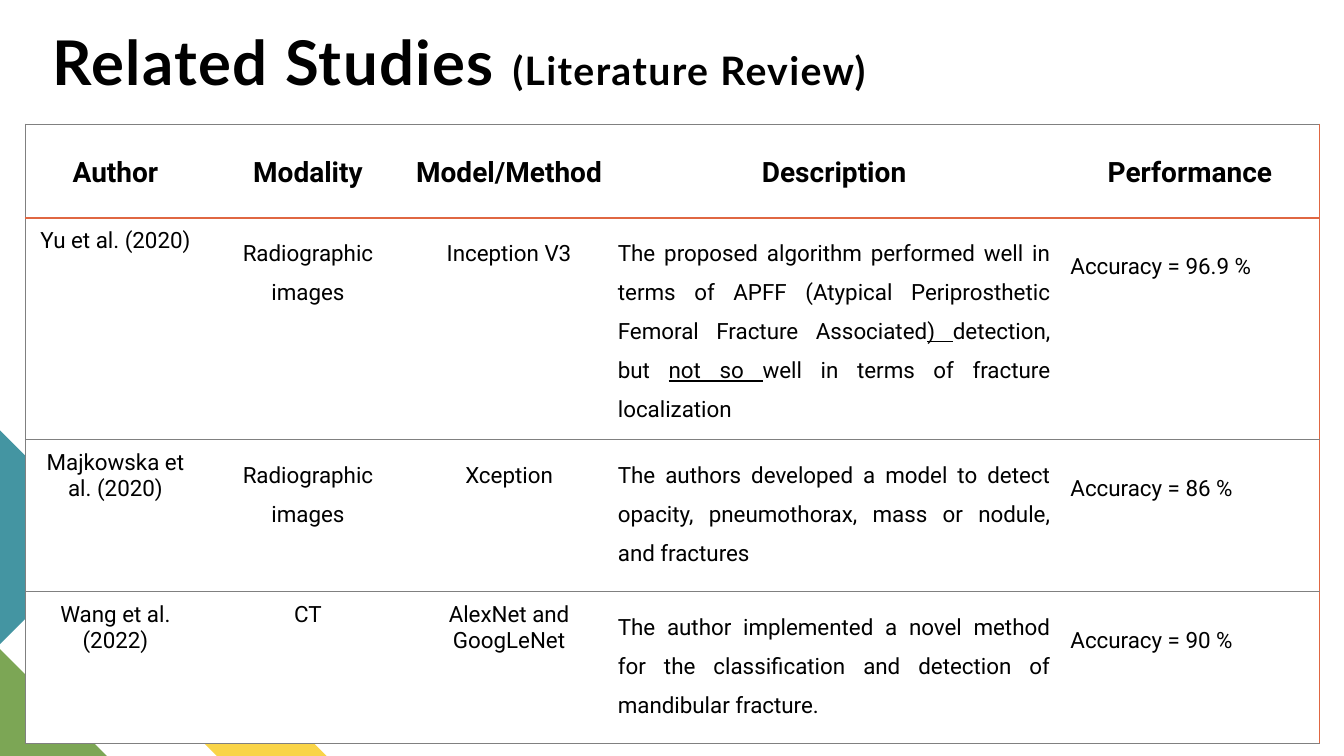
import pptx
import pptx.dml.color
import pptx.enum.text
import pptx.oxml
import pptx.oxml.ns
import pptx.util

Pt = pptx.util.Pt
RGBColor = pptx.dml.color.RGBColor
Align = pptx.enum.text.PP_ALIGN
Anchor = pptx.enum.text.MSO_ANCHOR

BLACK = RGBColor(0x00, 0x00, 0x00)
WHITE = RGBColor(0xFF, 0xFF, 0xFF)
ORANGE = RGBColor(0xE0, 0x67, 0x42)
GRAY = RGBColor(0x80, 0x80, 0x80)
YELLOW = RGBColor(0xF9, 0xD4, 0x48)
GREEN = RGBColor(0x7C, 0xA6, 0x55)
TEAL = RGBColor(0x44, 0x95, 0xA2)

CORNERS = [
    (YELLOW, [(233.3, 540), (154.8, 540), (76.3, 461.5), (115.9, 422.6)]),
    (GREEN, [(76.3, 540), (0, 540), (0, 463.7)]),
    (TEAL, [(0, 307.4), (76.3, 383.8), (0, 460.1)]),
]
TITLE = [("Related Studies ", 44), ("(Literature Review)", 28)]
HEADINGS = ["Author", "Modality", "Model/Method", "Description", "Performance"]
STUDIES = [
    ["Yu et al. (2020)", "Radiographic images", "Inception V3",
     [("The proposed algorithm performed well in terms of APFF (Atypical "
       "Periprosthetic Femoral Fracture Associated", False),
      (") ", True), ("detection, but ", False), ("not so ", True),
      ("well in terms of fracture localization", False)],
     "Accuracy = 96.9 %"],
    ["Majkowska et al. (2020)", "Radiographic images", "Xception",
     "The authors developed a model to detect opacity, pneumothorax, "
     "mass or nodule, and fractures",
     "Accuracy = 86 %"],
    ["Wang et al. (2022)", "CT", "AlexNet and GoogLeNet",
     "The author implemented a novel method for the classification and "
     "detection of mandibular fracture.",
     "Accuracy = 90 %"],
]
COLUMN_WIDTHS = [128.9, 146.2, 141.1, 323.3, 185]
ROW_HEIGHTS = [67, 141.1, 108.7, 108.7]
ALIGNMENTS = [Align.CENTER, Align.CENTER, Align.CENTER, Align.JUSTIFY, Align.LEFT]
LINE_SPACINGS = [
    [1.15] * 5,
    [1, 1.5, 1.5, 1.5, 1],
    [1, 1.5, 1.5, 1.5, 1],
    [1, 1, 1, 1.5, 1],
]
BODY_MARGIN = 7.2
PERFORMANCE_TOP = 25.95


def add_corner(slide, color, points):
    corners = [(Pt(x), Pt(y)) for x, y in points]
    builder = slide.shapes.build_freeform(*corners[0])
    builder.add_line_segments(corners[1:], close=True)
    shape = builder.convert_to_shape()
    shape.shadow.inherit = False
    shape.fill.solid()
    shape.fill.fore_color.rgb = color
    shape.line.fill.background()


def add_title(slide):
    box = slide.shapes.add_textbox(Pt(37.4), Pt(14.4), Pt(625), Pt(55.4))
    frame = box.text_frame
    frame.word_wrap = True
    frame.vertical_anchor = Anchor.BOTTOM
    frame.margin_left = frame.margin_right = 0
    frame.margin_top = frame.margin_bottom = 0
    paragraph = frame.paragraphs[0]
    paragraph.line_spacing = 0.8
    for text, size in TITLE:
        run = paragraph.add_run()
        run.text = text
        run.font.name = "Lato"
        run.font.size = Pt(size)
        run.font.bold = True
        run.font.color.rgb = BLACK
        run.font._element.set("spc", "100")


def set_borders(cell, borders):
    properties = cell._tc.get_or_add_tcPr()
    namespace = pptx.oxml.ns.nsdecls("a")
    for index, (side, border) in enumerate(borders.items()):
        if border:
            color, width = border
            paint = f'<a:solidFill><a:srgbClr val="{color}"/></a:solidFill>'
        else:
            width, paint = 0, "<a:noFill/>"
        line = f'<a:ln{side} {namespace} w="{int(Pt(width))}">{paint}</a:ln{side}>'
        properties.insert(index, pptx.oxml.parse_xml(line))


def fill_cell(cell, content, row, column):
    header = row == 0
    cell.fill.solid()
    cell.fill.fore_color.rgb = WHITE
    cell.vertical_anchor = Anchor.MIDDLE if header else Anchor.TOP
    cell.margin_left = cell.margin_right = Pt(3.6 if header else BODY_MARGIN)
    cell.margin_top = cell.margin_bottom = Pt(2.2 if header else BODY_MARGIN)
    if not header and column == len(HEADINGS) - 1:
        cell.margin_top = Pt(PERFORMANCE_TOP)
    paragraph = cell.text_frame.paragraphs[0]
    paragraph.alignment = Align.CENTER if header else ALIGNMENTS[column]
    paragraph.line_spacing = float(LINE_SPACINGS[row][column])
    paragraph.font.name = "Roboto"
    paragraph.font.size = Pt(20 if header else 16)
    paragraph.font.bold = header
    paragraph.font.color.rgb = BLACK
    parts = [(content, False)] if isinstance(content, str) else content
    for text, underlined in parts:
        run = paragraph.add_run()
        run.text = text
        if underlined:
            run.font.underline = True


def add_studies(slide):
    rows = [HEADINGS] + STUDIES
    frame = slide.shapes.add_table(
        len(rows), len(HEADINGS), Pt(18), Pt(88.6),
        Pt(sum(COLUMN_WIDTHS)), Pt(sum(ROW_HEIGHTS)))
    table = frame.table
    table.first_row = False
    table.horz_banding = False
    for column, width in zip(table.columns, COLUMN_WIDTHS):
        column.width = Pt(width)
    for table_row, height in zip(table.rows, ROW_HEIGHTS):
        table_row.height = Pt(height)
    thin, accent, rule = (GRAY, 0.75), (ORANGE, 1), (ORANGE, 1.5)
    for row, contents in enumerate(rows):
        for column, content in enumerate(contents):
            cell = table.cell(row, column)
            fill_cell(cell, content, row, column)
            set_borders(cell, {
                "L": thin if column == 0 else None,
                "R": accent if column == len(HEADINGS) - 1 else None,
                "T": rule if row == 1 else thin,
                "B": rule if row == 0 else thin,
            })


def main():
    presentation = pptx.Presentation()
    presentation.slide_width = Pt(960)
    presentation.slide_height = Pt(540)
    slide = presentation.slides.add_slide(presentation.slide_layouts[6])
    slide.background.fill.solid()
    slide.background.fill.fore_color.rgb = WHITE
    for color, points in CORNERS:
        add_corner(slide, color, points)
    add_title(slide)
    add_studies(slide)
    presentation.save("out.pptx")


if __name__ == "__main__":
    main()
